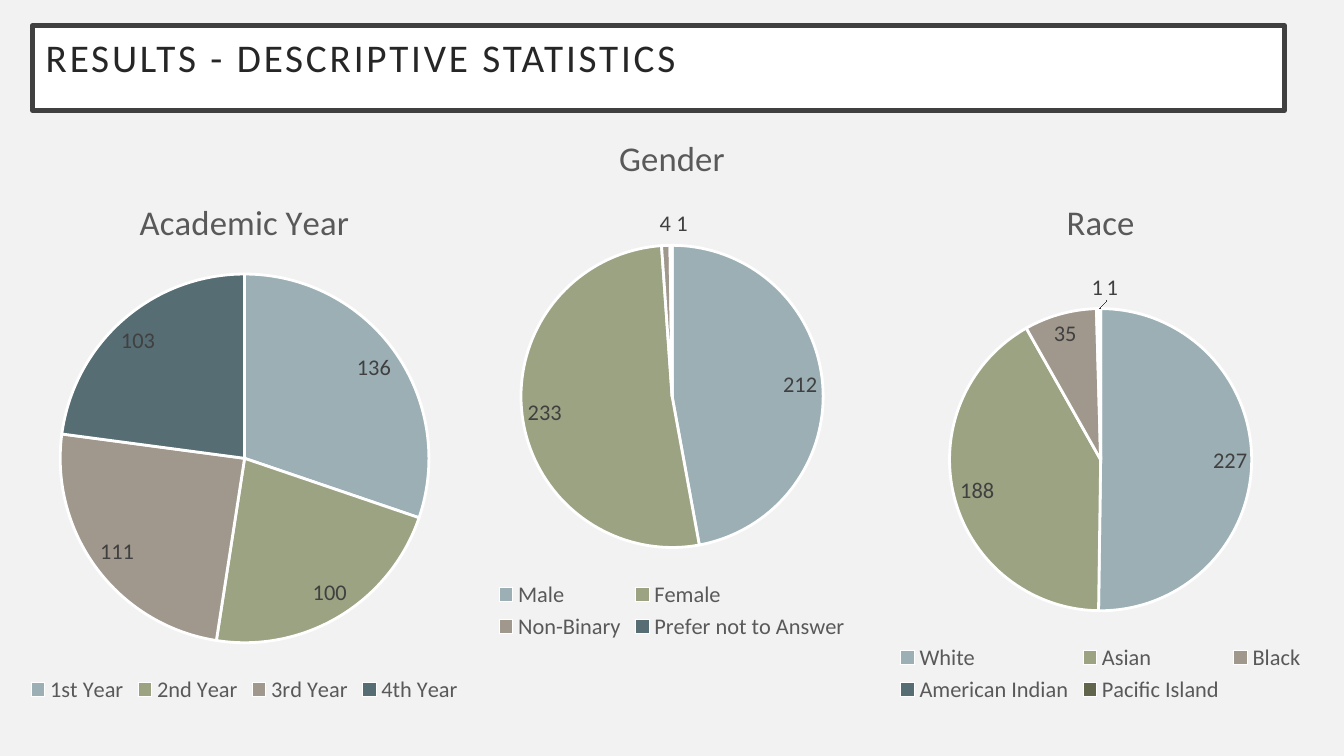
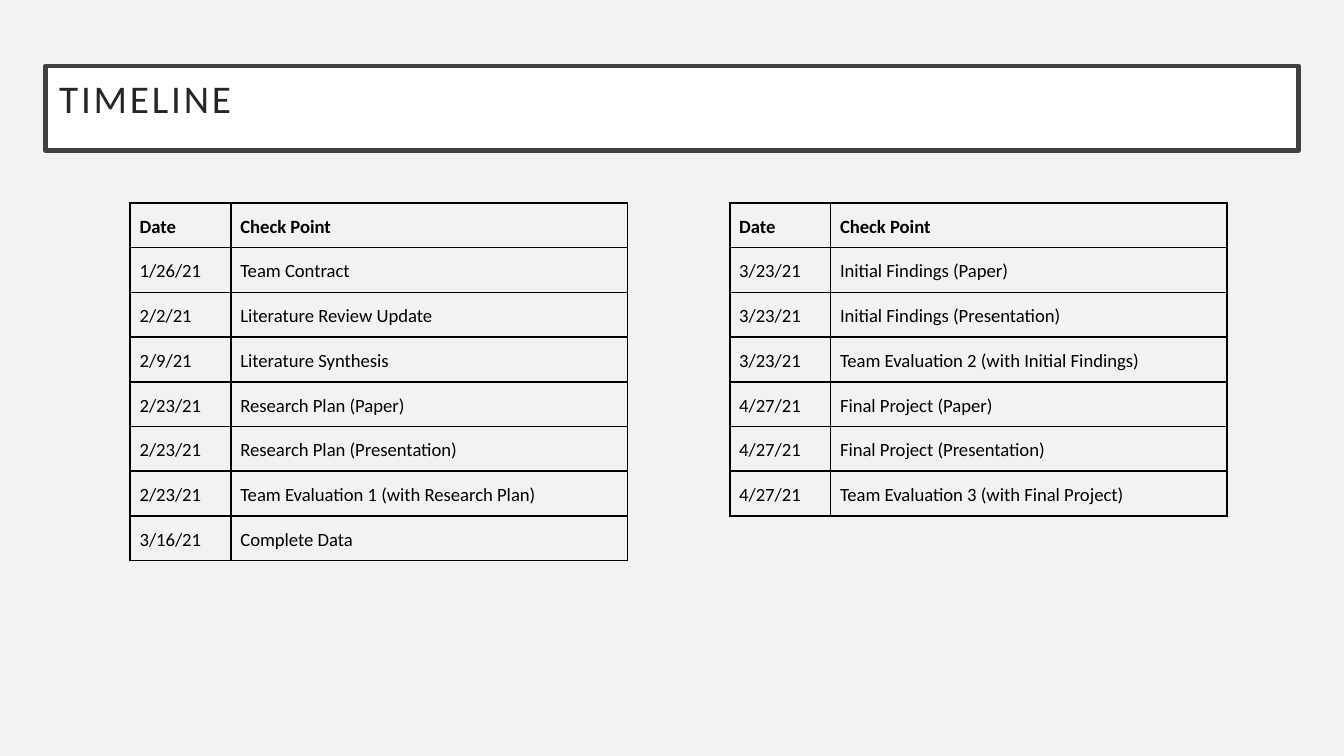
from pptx import Presentation
from pptx.chart.data import CategoryChartData
from pptx.dml.color import RGBColor
from pptx.enum.chart import XL_CHART_TYPE as ChartType
from pptx.enum.chart import XL_LABEL_POSITION as LabelPos
from pptx.enum.chart import XL_LEGEND_POSITION as LegendPos
from pptx.enum.text import MSO_ANCHOR, PP_ALIGN
from pptx.oxml import parse_xml
from pptx.oxml.ns import nsdecls
from pptx.util import Pt

# Content
PIE_TITLE = "RESULTS - DESCRIPTIVE STATISTICS"
PIES = [  # name, left, top, values by category
    ("Academic Year", -86.4, 92.9,
     {"1st Year": 136, "2nd Year": 100, "3rd Year": 111, "4th Year": 103}),
    ("Gender", 142.6, 59,
     {"Male": 212, "Female": 233, "Non-Binary": 4, "Prefer not to Answer": 1}),
    ("Race", 372.2, 92.9,
     {"White": 227, "Asian": 188, "Black": 35, "American Indian": 1,
      "Pacific Island": 1}),
]
TIMELINE_TITLE = "TIMELINE"
HEADER = ("Date", "Check Point")
TIMELINES = [  # left, rows
    (69.8, [
        ("1/26/21", "Team Contract"),
        ("2/2/21", "Literature Review Update"),
        ("2/9/21", "Literature Synthesis"),
        ("2/23/21", "Research Plan (Paper)"),
        ("2/23/21", "Research Plan (Presentation)"),
        ("2/23/21", "Team Evaluation 1 (with Research Plan)"),
        ("3/16/21", "Complete Data"),
    ]),
    (391, [
        ("3/23/21", "Initial Findings (Paper)"),
        ("3/23/21", "Initial Findings (Presentation)"),
        ("3/23/21", "Team Evaluation 2 (with Initial Findings)"),
        ("4/27/21", "Final Project (Paper)"),
        ("4/27/21", "Final Project (Presentation)"),
        ("4/27/21", "Team Evaluation 3 (with Final Project)"),
    ]),
]

# Shared style
FONT = "Calibri"
COLORS = {"back": "F2F2F2", "white": "FFFFFF", "frame": "404040",
          "title": "262626", "muted": "595959", "black": "000000"}
SLICES = ["9BAFB5", "9CA383", "A0988C", "566D74", "60654B"]
PIE_W, PIE_H = 434.9, 286.6
TABLE_TOP, ROW_H, COL_W = 108.7, 22.6, (54, 212.4)


def rgb(value):
    return RGBColor.from_string(value)


def style_font(font, size, color, bold=False):
    font.name, font.size, font.bold = FONT, Pt(size), bold
    font.color.rgb = rgb(COLORS[color])


def write(tf, text, size, color, bold=False, line=None, align=None, track=0):
    p = tf.paragraphs[0]
    p.line_spacing, p.alignment = line, align
    r = p.add_run()
    r.text = text
    style_font(r.font, size, color, bold)
    if track:
        r.font._element.set("spc", str(round(track * 100)))


def set_insets(target, inset):
    target.margin_left = target.margin_right = Pt(inset)
    target.margin_top = target.margin_bottom = Pt(inset)


def add_titled_slide(prs, title, left, top):
    s = prs.slides.add_slide(prs.slide_layouts[5])
    sp = s.shapes.title
    sp.left, sp.top, sp.width, sp.height = Pt(left), Pt(top), Pt(671), Pt(45.4)
    sp.fill.solid()
    sp.fill.fore_color.rgb = rgb(COLORS["white"])
    sp.line.color.rgb = rgb(COLORS["frame"])
    sp.line.width = Pt(2.5)
    tf = sp.text_frame
    set_insets(tf, 7.2)
    tf.vertical_anchor = MSO_ANCHOR.TOP
    write(tf, title, 21, "title", line=0.9, align=PP_ALIGN.LEFT, track=1.5)
    return s


def add_pie(s, name, left, top, values):
    data = CategoryChartData()
    data.categories = list(values)
    data.add_series(name, list(values.values()))
    chart = s.shapes.add_chart(ChartType.PIE, Pt(left), Pt(top),
                               Pt(PIE_W), Pt(PIE_H), data).chart
    style_font(chart.font, 10, "black")
    chart.has_title = True
    write(chart.chart_title.text_frame, name, 18.6, "muted")

    chart.has_legend = True
    chart.legend.position = LegendPos.BOTTOM
    chart.legend.include_in_layout = False
    style_font(chart.legend.font, 12, "muted")

    plot = chart.plots[0]
    plot.vary_by_categories = True
    series = plot.series[0]
    for i, color in enumerate(SLICES[:len(values)]):
        fmt = series.points[i].format
        fmt.fill.solid()
        fmt.fill.fore_color.rgb = rgb(color)
        fmt.line.color.rgb = rgb(COLORS["white"])
        fmt.line.width = Pt(1.5)
    labels = series.data_labels
    labels.show_value = True
    labels.position = LabelPos.BEST_FIT
    style_font(labels.font, 12, "frame")


def add_borders(cell):
    tc_pr = cell._tc.get_or_add_tcPr()
    for side in ("lnL", "lnR", "lnT", "lnB"):
        tc_pr.append(parse_xml(
            f'<a:{side} {nsdecls("a")} w="{Pt(1)}"><a:solidFill>'
            f'<a:srgbClr val="{COLORS["black"]}"/></a:solidFill></a:{side}>'))


def add_timeline(s, left, rows):
    rows = [HEADER] + rows
    table = s.shapes.add_table(len(rows), len(HEADER), Pt(left), Pt(TABLE_TOP),
                               Pt(sum(COL_W)), Pt(ROW_H * len(rows))).table
    table.first_row = table.horz_banding = False
    for column, width in zip(table.columns, COL_W):
        column.width = Pt(width)
    for i, row in enumerate(rows):
        for j, text in enumerate(row):
            cell = table.cell(i, j)
            set_insets(cell, 5)
            add_borders(cell)
            cell.fill.background()
            write(cell.text_frame, text, 10, "black", bold=i == 0, line=1.15)


def main():
    prs = Presentation()
    prs.slide_width, prs.slide_height = Pt(720), Pt(405)
    back = prs.slide_master.background.fill
    back.solid()
    back.fore_color.rgb = rgb(COLORS["back"])

    # Descriptive statistics
    s = add_titled_slide(prs, PIE_TITLE, 17.3, 13.7)
    for pie in PIES:
        add_pie(s, *pie)

    # Timeline
    s = add_titled_slide(prs, TIMELINE_TITLE, 24.5, 35.3)
    for timeline in TIMELINES:
        add_timeline(s, *timeline)

    prs.save("out.pptx")


if __name__ == "__main__":
    main()
